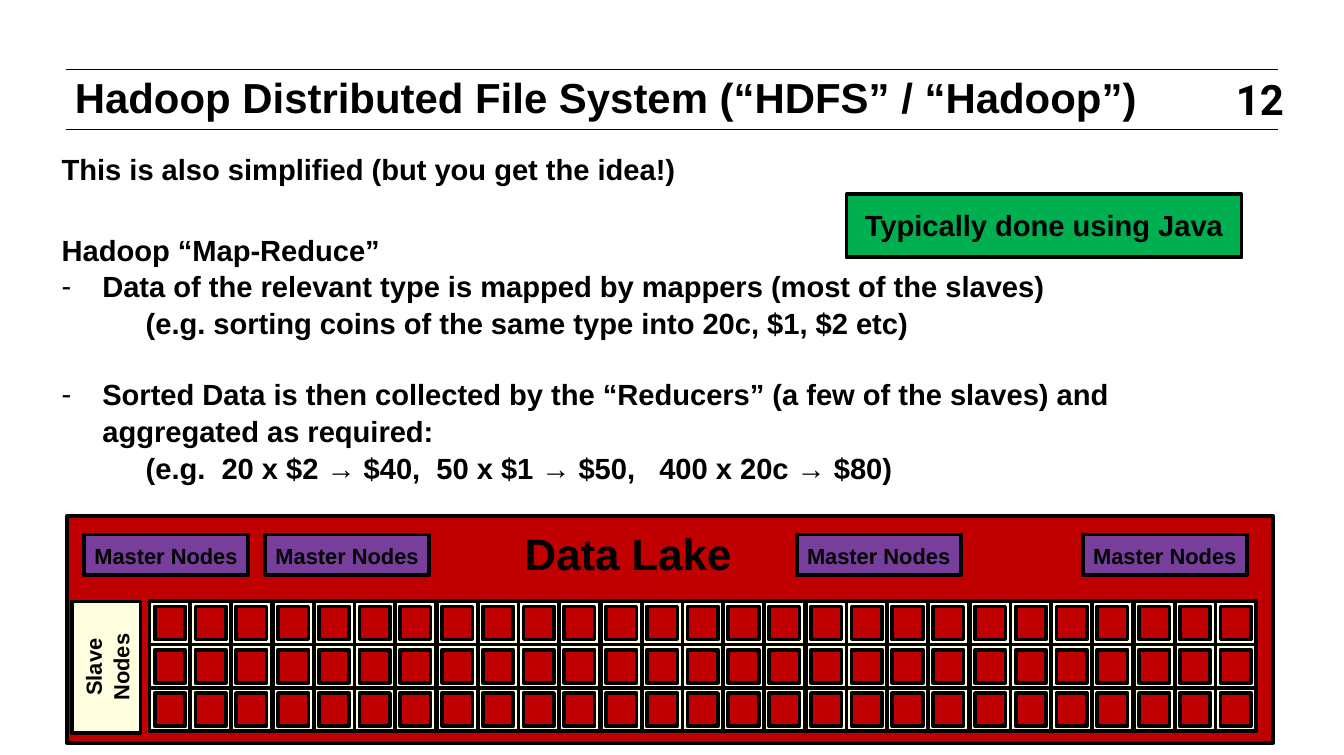
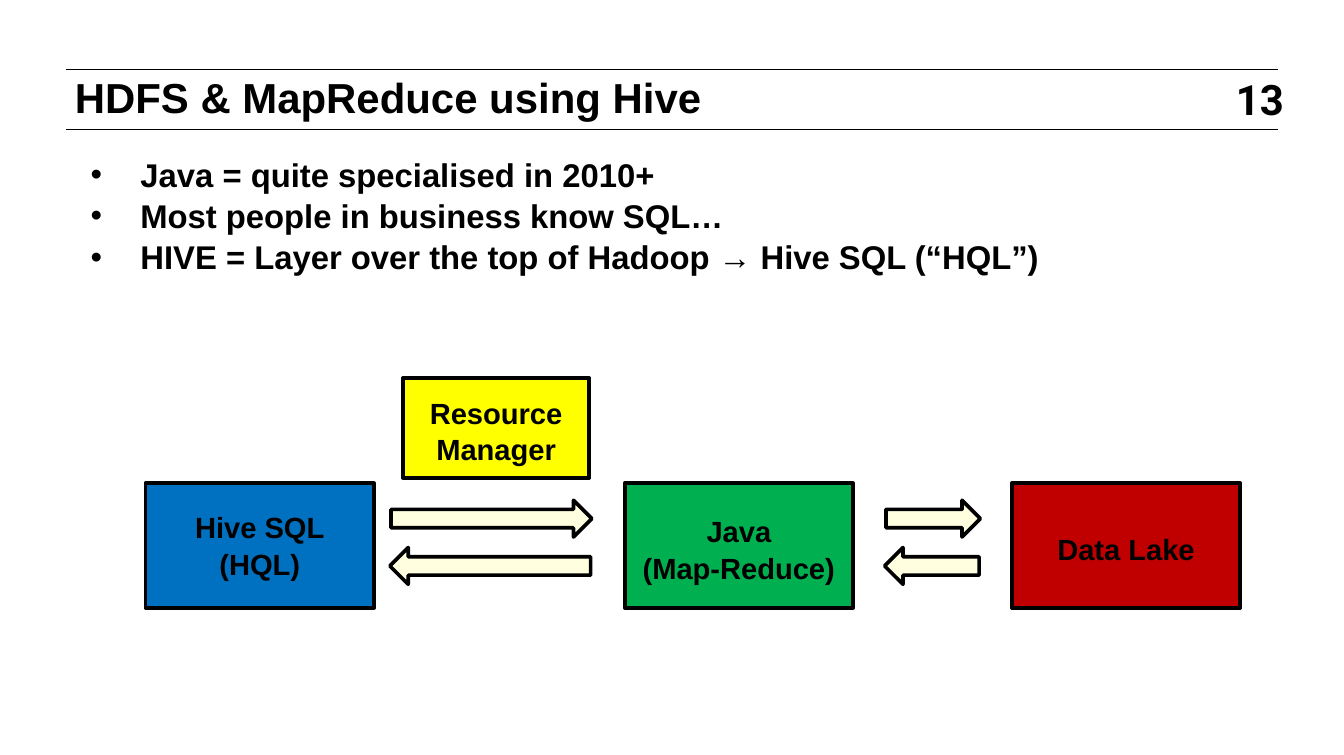
from dataclasses import dataclass
from itertools import product

from lxml.etree import SubElement
from pptx import Presentation
from pptx.dml.color import RGBColor
from pptx.enum.shapes import MSO_CONNECTOR as Connector, MSO_SHAPE as Preset
from pptx.enum.text import MSO_ANCHOR as Anchor, MSO_AUTO_SIZE as AutoSize, PP_ALIGN as Align
from pptx.oxml.ns import qn
from pptx.util import Emu, Pt

# Scale: 100 px to the inch
PX = 9144

# Shared look
BLACK = RGBColor(0x00, 0x00, 0x00)
RED = RGBColor(0xC0, 0x00, 0x00)
GREEN = RGBColor(0x00, 0xB0, 0x50)
BLUE = RGBColor(0x00, 0x70, 0xC0)
YELLOW = RGBColor(0xFF, 0xFF, 0x00)
PURPLE = RGBColor(0x77, 0x3F, 0x9B)
CREAM = RGBColor(0xFF, 0xFE, 0xDE)
TEXT_FONT = "Arial"
NUMBER_FONT = "Roboto"
LINE_SPACING = 1.05
INSET = 6


@dataclass(frozen=True)
class Area:
    left: int
    top: int
    width: int
    height: int

    def emu(self) -> list[Emu]:
        return [px(n) for n in (self.left, self.top, self.width, self.height)]


@dataclass(frozen=True)
class Block:
    area: Area
    fill: RGBColor
    label: str = ""
    size: int = 16
    preset: Preset = Preset.RECTANGLE
    rotation: int = 0
    top_inset: int = INSET


@dataclass(frozen=True)
class Item:
    text: str
    bullet: str = ""
    indent: int = 0
    gap: int = 0


def px(count: int) -> Emu:
    return Emu(count * PX)


def format_para(para, size: int, font: str = TEXT_FONT, align=Align.LEFT) -> None:
    para.alignment = align
    for span in para.runs:
        span.font.name = font
        span.font.size = Pt(size)
        span.font.bold = True
        span.font.color.rgb = BLACK


def set_insets(frame, side: int, top: int, bottom: int) -> None:
    frame.margin_left = frame.margin_right = px(side)
    frame.margin_top, frame.margin_bottom = px(top), px(bottom)


def place(shape, area: Area) -> None:
    shape.left, shape.top, shape.width, shape.height = area.emu()


def add_block(page, block: Block) -> None:
    shape = page.shapes.add_shape(block.preset, *block.area.emu())
    shape.shadow.inherit = False
    shape.rotation = block.rotation
    shape.fill.solid()
    shape.fill.fore_color.rgb = block.fill
    shape.line.color.rgb = BLACK
    shape.line.width = Pt(2)
    if block.label:
        frame = shape.text_frame
        frame.text = block.label
        frame.word_wrap = True
        frame.vertical_anchor = Anchor.MIDDLE
        set_insets(frame, INSET, block.top_inset, INSET)
        for para in frame.paragraphs:
            format_para(para, block.size, align=Align.CENTER)
            para.line_spacing = LINE_SPACING


def add_label(page, area: Area, text: str, size: int, font: str = TEXT_FONT) -> None:
    box = page.shapes.add_textbox(*area.emu())
    frame = box.text_frame
    frame.text = text
    frame.word_wrap = False
    frame.vertical_anchor = Anchor.MIDDLE
    set_insets(frame, 0, 0, 0)
    format_para(frame.paragraphs[0], size, font, Align.CENTER)


def add_rule(page, top: int) -> None:
    rule = page.shapes.add_connector(Connector.STRAIGHT, px(50), px(top), px(974), px(top))
    rule.line.color.rgb = BLACK
    rule.line.width = Pt(0.5)
    SubElement(rule.element.spPr, qn("a:effectLst"))


def set_bullet(para, item: Item, hanging: int) -> None:
    props = para._p.get_or_add_pPr()
    props.set("marL", str(px(item.indent)))
    props.set("indent", str(px(-hanging if item.bullet else 0)))
    if item.bullet:
        SubElement(props, qn("a:buFont")).set("typeface", TEXT_FONT)
        SubElement(props, qn("a:buChar")).set("char", item.bullet)
    else:
        SubElement(props, qn("a:buNone"))


def fill_body(page, area: Area, items: list[Item], size: int) -> None:
    body = page.placeholders[1]
    place(body, area)
    frame = body.text_frame
    frame.text = "\n".join(item.text for item in items)
    frame.word_wrap = True
    frame.auto_size = AutoSize.NONE
    frame.vertical_anchor = Anchor.TOP
    set_insets(frame, 10, 5, 5)
    for para, item in zip(frame.paragraphs, items):
        set_bullet(para, item, item.indent)
        format_para(para, size)
        para.line_spacing = LINE_SPACING
        para.space_before = Pt(item.gap)
        para.space_after = Pt(0)


def add_page(deck, title: str, number: int):
    """Add a page with the ruled title band and its number."""
    page = deck.slides.add_slide(deck.slide_layouts[1])
    for top in (53, 99):
        add_rule(page, top)
    add_label(page, Area(940, 56, 40, 38), str(number), 23, NUMBER_FONT)
    heading = page.shapes.title
    place(heading, Area(51, 55, 861, 111))
    frame = heading.text_frame
    frame.text = title
    frame.word_wrap = True
    frame.auto_size = AutoSize.NONE
    frame.vertical_anchor = Anchor.TOP
    set_insets(frame, INSET, INSET, INSET)
    format_para(frame.paragraphs[0], 23)
    frame.paragraphs[0].line_spacing = Pt(23)
    return page


def build_hadoop(deck) -> None:
    page = add_page(deck, "Hadoop Distributed File System (“HDFS” / “Hadoop”)", 12)
    fill_body(page, Area(37, 109, 933, 286), [
        Item("This is also simplified (but you get the idea!)"),
        Item("Hadoop “Map-Reduce”", gap=24),
        Item("Data of the relevant type is mapped by mappers (most of the slaves)", "-", 31),
        Item("(e.g. sorting coins of the same type into 20c, $1, $2 etc)", indent=64),
        Item("Sorted Data is then collected by the “Reducers” (a few of the slaves) "
             "and aggregated as required:", "-", 31, 19),
        Item("(e.g.  20 x $2 → $40,  50 x $1 → $50,   400 x 20c → $80)", indent=64),
    ], 16)
    add_block(page, Block(Area(645, 148, 301, 48), GREEN, "Typically done using Java", top_inset=3))

    # Data lake with its master and slave nodes
    add_block(page, Block(Area(51, 393, 919, 173), RED))
    add_label(page, Area(389, 396, 179, 50), "Data Lake", 24)
    for left in (64, 202, 607, 825):
        add_block(page, Block(Area(left, 407, 125, 31), PURPLE, "Master Nodes", 12))
    add_block(page, Block(Area(31, 482, 100, 52), CREAM, "Slave Nodes", 12, rotation=270))
    columns, rows = 27, 3
    for row, column in product(range(rows), range(columns)):
        left = 114 + round(column * 812 / (columns - 1))
        add_block(page, Block(Area(left, 458 + row * 33, 31, 33), CREAM, preset=Preset.FRAME))


def build_hive(deck) -> None:
    page = add_page(deck, "HDFS & MapReduce using Hive", 13)
    fill_body(page, Area(59, 111, 750, 101), [
        Item(text, "•", 38) for text in (
            "Java = quite specialised in 2010+",
            "Most people in business know SQL…",
            "HIVE = Layer over the top of Hadoop → Hive SQL (“HQL”)",
        )
    ], 18)

    # Processing chain
    for block in (
        Block(Area(111, 368, 174, 95), BLUE, "Hive SQL\n(HQL)", top_inset=4),
        Block(Area(307, 288, 142, 76), YELLOW, "Resource Manager", top_inset=9),
        Block(Area(476, 368, 174, 95), GREEN, "Java\v(Map-Reduce)", top_inset=10),
        Block(Area(771, 368, 174, 95), RED, "Data Lake", top_inset=10),
    ):
        add_block(page, block)

    # Arrows there and back
    for left, width in ((298, 153), (675, 72)):
        for shift, top, rotation in ((0, 381, 0), (-1, 417, 180)):
            add_block(page, Block(Area(left + shift, top, width, 28), CREAM,
                                  preset=Preset.RIGHT_ARROW, rotation=rotation))


def main() -> None:
    deck = Presentation()
    deck.slide_width, deck.slide_height = px(1024), px(575)
    build_hadoop(deck)
    build_hive(deck)
    deck.save("out.pptx")


if __name__ == "__main__":
    main()
